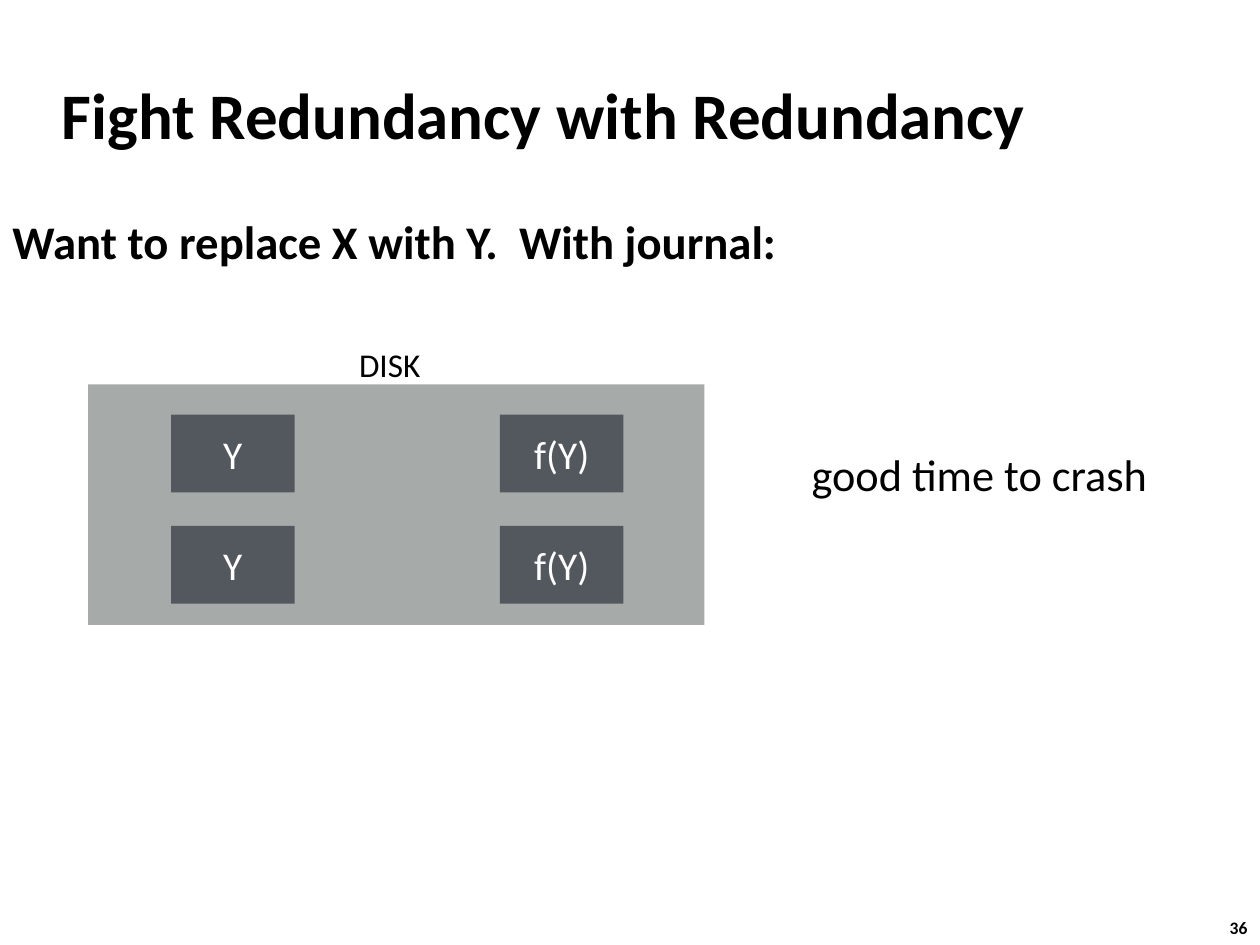
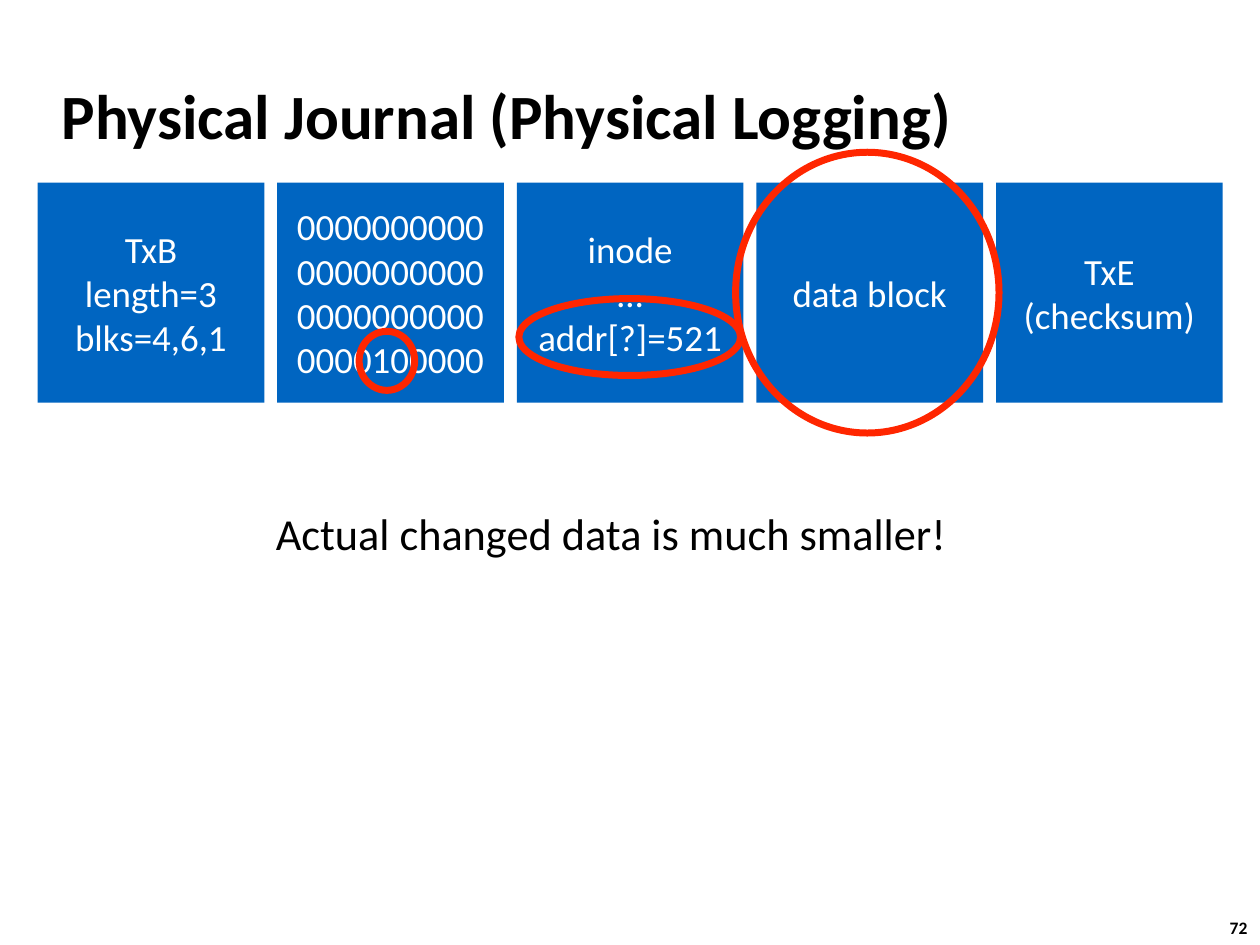
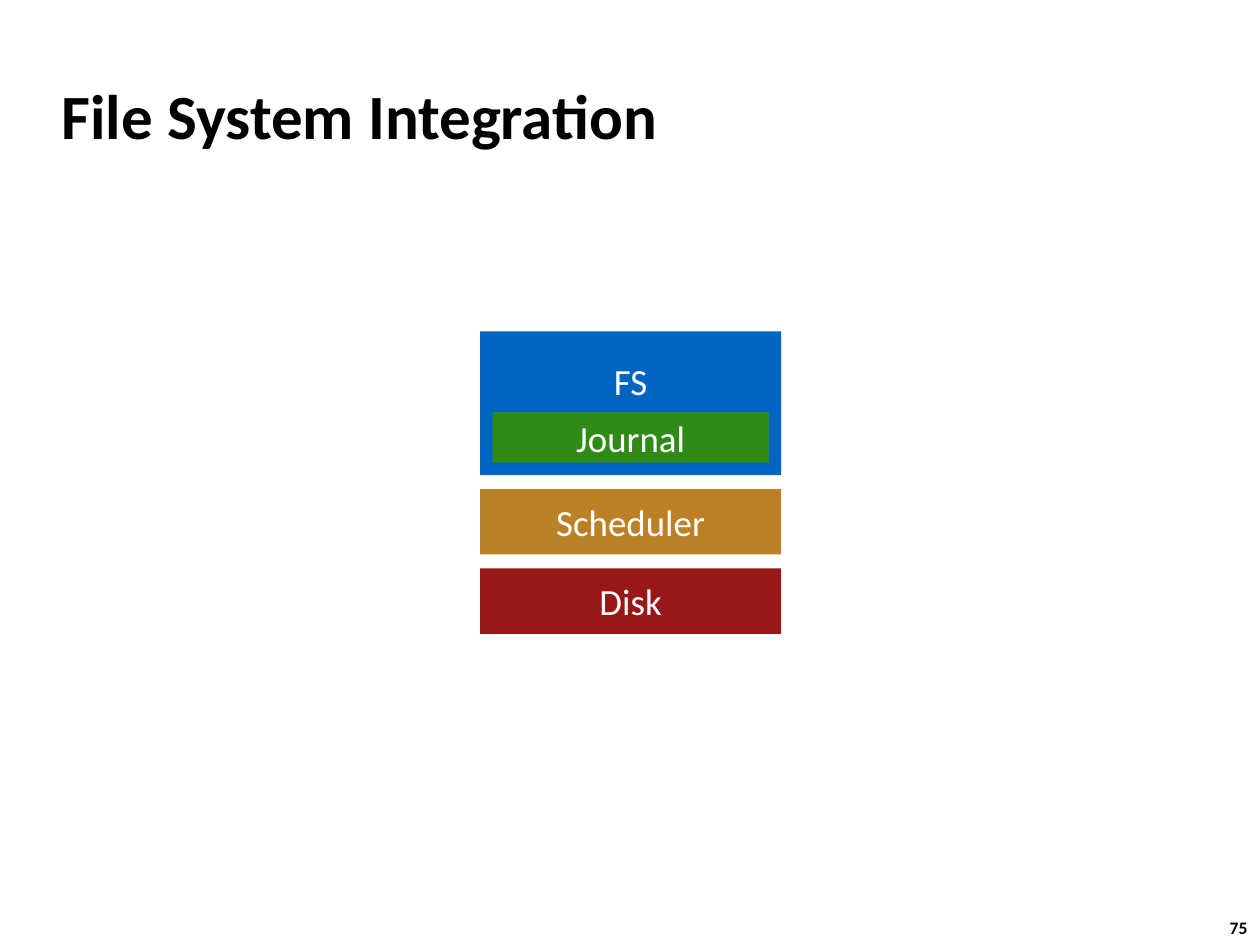
from dataclasses import dataclass
from itertools import product

from pptx import Presentation
from pptx.dml.color import RGBColor
from pptx.enum.shapes import MSO_SHAPE
from pptx.enum.text import MSO_ANCHOR, MSO_AUTO_SIZE, PP_ALIGN
from pptx.util import Cm, Pt


@dataclass(frozen=True)
class Theme:
    font: str = "Calibri"
    ink: str = "000000"
    paper: str = "FFFFFF"
    disk: str = "A6AAA8"
    block: str = "53585F"
    blue: str = "0065C1"
    green: str = "308B16"
    amber: str = "BC8027"
    crimson: str = "971817"
    highlight: str = "FF2600"
    highlight_width: float = 4
    title_size: float = 36
    wide_title_size: float = 37.1
    lead_size: float = 26.7
    remark_size: float = 25.3
    block_size: float = 22.5
    box_size: float = 21.1
    label_size: float = 19
    number_size: float = 10


THEME = Theme()

# Positions are (left, top, width, height) in centimetres.
TITLE_AREA = (0.99, 1.24, 21.08, 2.11)
NUMBER_AREA = (24.54, 18.36, 0.94, 0.69)
LABEL_INSET = 0.1

REDUNDANCY = {
    "title": "Fight Redundancy with Redundancy",
    "number": "36",
    "lead": ("Want to replace X with Y.  With journal:", (0, 4.17, 21.69, 1.57)),
    "disk_label": ("DISK", (7.14, 6.83, 1.45, 1.02)),
    "remark": ("good time to crash", (16.26, 8.92, 7.04, 1.27)),
    "disk": (1.78, 7.75, 12.42, 4.85),
    "blocks": [["Y", "f(Y)"], ["Y", "f(Y)"]],
}
JOURNAL = {
    "title": "Physical Journal (Physical Logging)",
    "number": "72",
    "records": [
        ["TxB", "length=3", "blks=4,6,1"],
        ["0000000000", "0000000000", "0000000000", "0000100000"],
        ["inode", "…", "addr[?]=521"],
        ["data block"],
        ["TxE", "(checksum)"],
    ],
    "changes": [
        (10.46, 6.02, 4.47, 1.55),
        (14.83, 3.07, 5.31, 5.66),
        (7.24, 6.68, 1.12, 1.19),
    ],
    "remark": ("Actual changed data is much smaller!", (5.46, 10.11, 13.84, 1.27)),
}
INTEGRATION = {
    "title": "File System Integration",
    "number": "75",
    "layers": [
        ("FS", THEME.blue, 2.9),
        ("Scheduler", THEME.amber, 1.32),
        ("Disk", THEME.crimson, 1.32),
    ],
    "inner_layer": ("Journal", THEME.green, 1.02),
}


def assign(target, **values):
    for name, value in values.items():
        setattr(target, name, value)


def write(frame, lines, size, color=THEME.ink, bold=False, align=PP_ALIGN.LEFT):
    for index, line in enumerate(lines):
        paragraph = frame.paragraphs[0] if index == 0 else frame.add_paragraph()
        paragraph.text = line
        paragraph.alignment = align
        assign(paragraph.font, name=THEME.font, size=Pt(size), bold=bold)
        paragraph.font.color.rgb = RGBColor.from_string(color)


def set_insets(frame, inset):
    for side in ("left", "top", "right", "bottom"):
        setattr(frame, f"margin_{side}", Cm(inset))


def add_text(slide, text, area, size, bold=False, wrap=False):
    frame = slide.shapes.add_textbox(*map(Cm, area)).text_frame
    frame.word_wrap = wrap
    write(frame, [text], size, bold=bold)
    return frame


def add_label(slide, text, area, size):
    frame = add_text(slide, text, area, size)
    frame.vertical_anchor = MSO_ANCHOR.MIDDLE
    set_insets(frame, LABEL_INSET)


def add_box(slide, area, fill, lines=(), size=THEME.box_size):
    box = slide.shapes.add_shape(MSO_SHAPE.RECTANGLE, *map(Cm, area))
    box.shadow.inherit = False
    box.fill.solid()
    box.fill.fore_color.rgb = RGBColor.from_string(fill)
    box.line.fill.background()
    frame = box.text_frame
    assign(frame, word_wrap=True, vertical_anchor=MSO_ANCHOR.MIDDLE)
    set_insets(frame, 0)
    write(frame, lines, size, THEME.paper, align=PP_ALIGN.CENTER)
    return box


def add_ring(slide, area):
    ring = slide.shapes.add_shape(MSO_SHAPE.OVAL, *map(Cm, area))
    ring.shadow.inherit = False
    ring.fill.background()
    ring.line.color.rgb = RGBColor.from_string(THEME.highlight)
    ring.line.width = Pt(THEME.highlight_width)


def add_titled_slide(deck, content, title_size=THEME.title_size):
    slide = deck.slides.add_slide(deck.slide_layouts[5])
    title = slide.shapes.title
    left, top, width, height = map(Cm, TITLE_AREA)
    assign(title, left=left, top=top, width=width, height=height)
    assign(title.text_frame, word_wrap=True, auto_size=MSO_AUTO_SIZE.NONE,
           vertical_anchor=MSO_ANCHOR.MIDDLE)
    write(title.text_frame, [content["title"]], title_size, bold=True)
    add_text(slide, content["number"], NUMBER_AREA, THEME.number_size, bold=True)
    return slide


def build_redundancy(deck):
    slide = add_titled_slide(deck, REDUNDANCY, THEME.wide_title_size)
    add_text(slide, *REDUNDANCY["lead"], THEME.lead_size, bold=True, wrap=True)
    add_box(slide, REDUNDANCY["disk"], THEME.disk)
    add_label(slide, *REDUNDANCY["disk_label"], THEME.label_size)
    left, top, column_step, row_step = 3.45, 8.36, 6.63, 2.24
    for row, column in product(range(2), repeat=2):
        area = (left + column * column_step, top + row * row_step, 2.49, 1.57)
        add_box(slide, area, THEME.block, [REDUNDANCY["blocks"][row][column]],
                THEME.block_size)
    add_label(slide, *REDUNDANCY["remark"], THEME.remark_size)


def build_journal(deck):
    slide = add_titled_slide(deck, JOURNAL)
    left, step = 0.76, 4.83
    for index, lines in enumerate(JOURNAL["records"]):
        add_box(slide, (left + index * step, 3.68, 4.57, 4.44), THEME.blue, lines)
    for area in JOURNAL["changes"]:
        add_ring(slide, area)
    add_label(slide, *JOURNAL["remark"], THEME.remark_size)


def build_integration(deck):
    slide = add_titled_slide(deck, INTEGRATION)
    left, top, width, gap, inset = 9.68, 6.68, 6.07, 0.28, 0.25
    inner_name, inner_fill, inner_height = INTEGRATION["inner_layer"]
    for index, (name, fill, height) in enumerate(INTEGRATION["layers"]):
        layer = add_box(slide, (left, top, width, height), fill, [name])
        if index == 0:
            layer.text_frame.margin_bottom = Cm(0.9)
            inner_top = top + height - inset - inner_height
            add_box(slide, (left + inset, inner_top, width - 2 * inset, inner_height),
                    inner_fill, [inner_name])
        top += height + gap


def main():
    deck = Presentation()
    assign(deck, slide_width=Cm(25.4), slide_height=Cm(19.05))
    for build in (build_redundancy, build_journal, build_integration):
        build(deck)
    deck.save("out.pptx")


if __name__ == "__main__":
    main()
